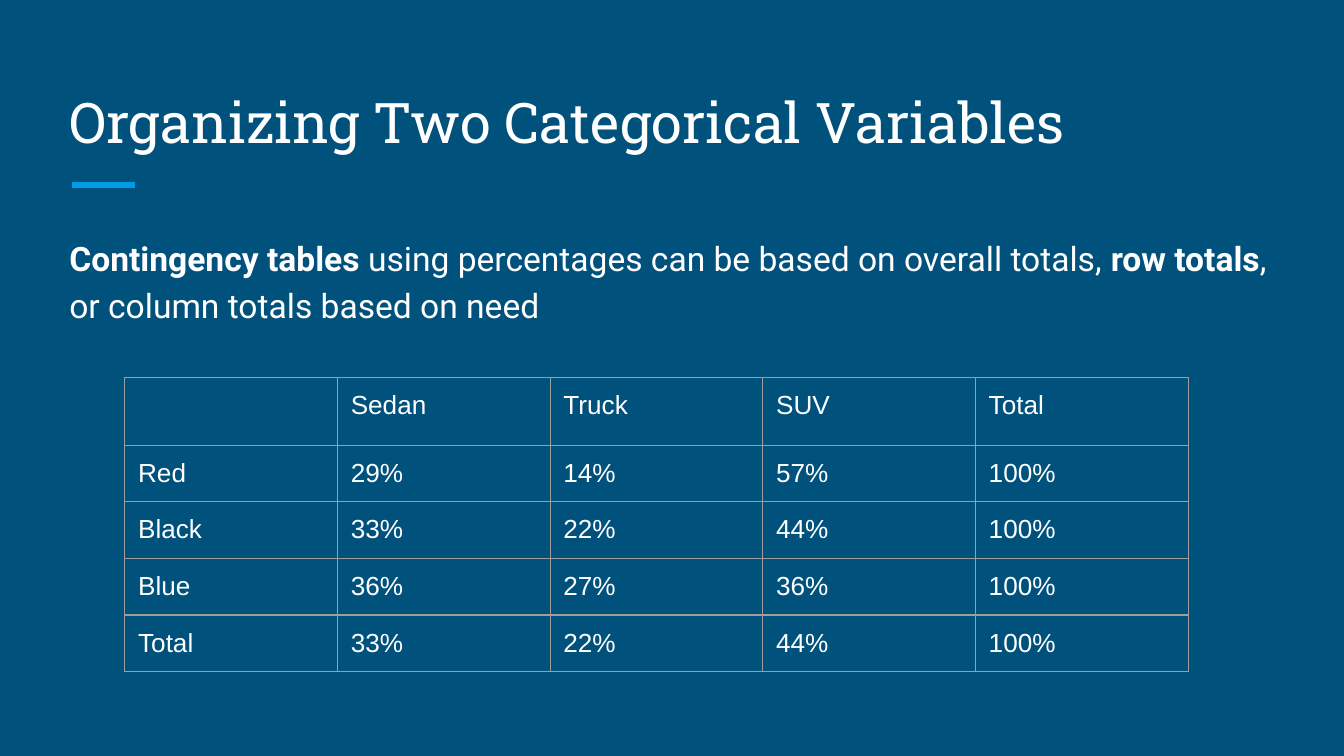
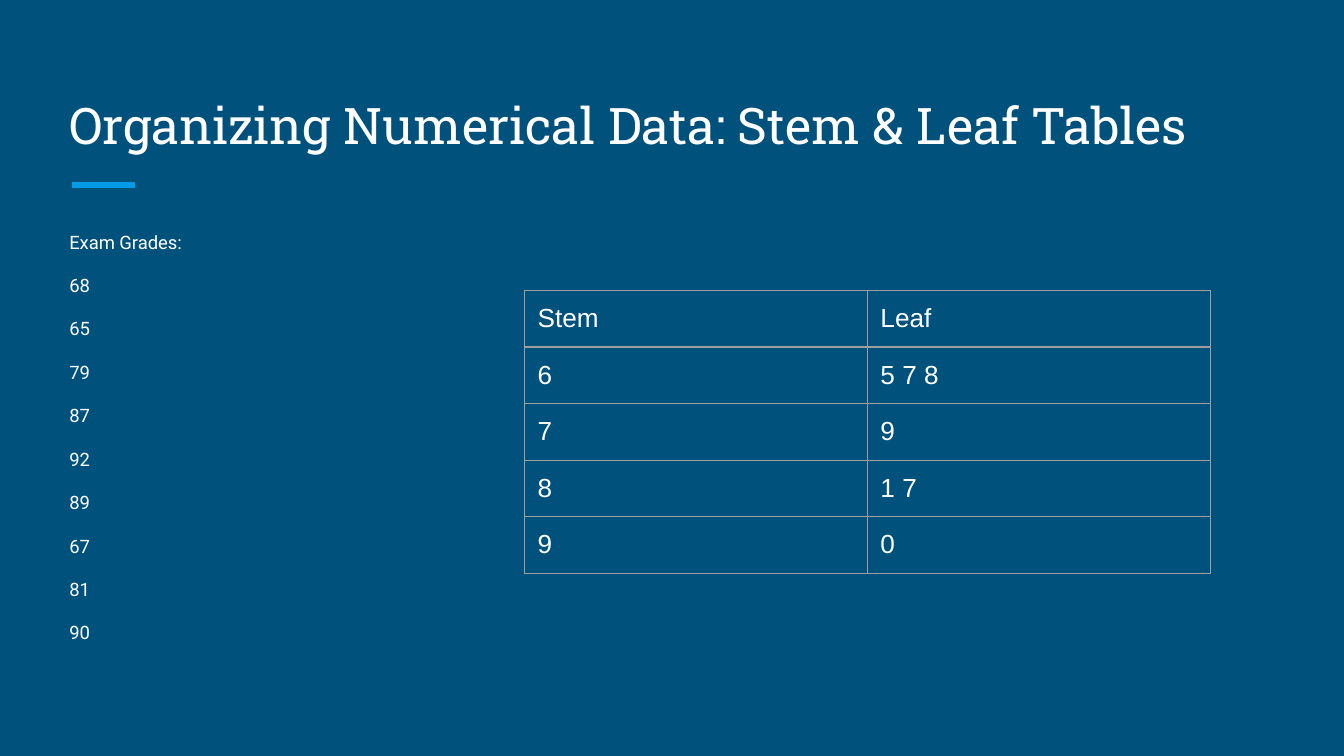
from lxml import etree
from pptx import Presentation
from pptx import util as u
from pptx.dml.color import RGBColor
from pptx.enum import shapes, text
from pptx.oxml import ns

# Shared style
NAVY = RGBColor(0x00, 0x51, 0x7C)
ACCENT = RGBColor(0x03, 0x9B, 0xE5)
WHITE = RGBColor(0xFF, 0xFF, 0xFF)
GRID = RGBColor(0x9E, 0x9E, 0x9E)
TITLE_FONT, BODY_FONT, TABLE_FONT = "Roboto Slab", "Roboto", "Arial"
MARGIN = u.Cm(0.25)
LEFT, FULL_WIDTH = u.Cm(1.06), u.Cm(23.24)
ROW_HEIGHT = u.Cm(1.07)

# Content
VEHICLES = [
    ["", "Sedan", "Truck", "SUV", "Total"],
    ["Red", "29%", "14%", "57%", "100%"],
    ["Black", "33%", "22%", "44%", "100%"],
    ["Blue", "36%", "27%", "36%", "100%"],
    ["Total", "33%", "22%", "44%", "100%"],
]
STEM_LEAF = [["Stem", "Leaf"], ["6", "5 7 8"], ["7", "9"], ["8", "1 7"], ["9", "0"]]
GRADES = [68, 65, 79, 87, 92, 89, 67, 81, 90]


def style_runs(paragraph, font_name, size):
    for run in paragraph.runs:
        run.font.name = font_name
        run.font.size = u.Pt(size)
        run.font.color.rgb = WHITE


def place(shape, top, width, height, anchor):
    """Move a placeholder and set up its text frame."""
    shape.left, shape.top, shape.width, shape.height = LEFT, top, width, height
    frame = shape.text_frame
    frame.margin_left = frame.margin_right = MARGIN
    frame.margin_top = frame.margin_bottom = MARGIN
    frame.vertical_anchor = anchor
    frame.word_wrap = True
    frame.auto_size = text.MSO_AUTO_SIZE.NONE
    return frame


def add_titled_slide(presentation, title, size):
    slide = presentation.slides.add_slide(presentation.slide_layouts[1])
    frame = place(slide.shapes.title, u.Cm(1.27), FULL_WIDTH, u.Cm(1.91),
                  text.MSO_ANCHOR.BOTTOM)
    frame.text = title
    frame.paragraphs[0].alignment = text.PP_ALIGN.LEFT
    style_runs(frame.paragraphs[0], TITLE_FONT, size)

    # Accent rule under the title
    rule = slide.shapes.add_connector(shapes.MSO_CONNECTOR.STRAIGHT,
                                      u.Cm(1.36), u.Cm(3.5), u.Cm(2.55), u.Cm(3.5))
    rule.line.color.rgb = ACCENT
    rule.line.width = u.Pt(3)
    etree.SubElement(rule.element.spPr, ns.qn("a:effectLst"))
    return slide


def fill_body(slide, paragraphs, width, size, line_spacing, gap=0):
    """Write paragraphs, each a list of (text, bold) pieces, without bullets."""
    frame = place(slide.placeholders[1], u.Cm(4.14), width, u.Cm(8.56),
                  text.MSO_ANCHOR.TOP)
    for index, pieces in enumerate(paragraphs):
        paragraph = frame.add_paragraph() if index else frame.paragraphs[0]
        for words, bold in pieces:
            run = paragraph.add_run()
            run.text = words
            run.font.bold = bold
        style_runs(paragraph, BODY_FONT, size)
        paragraph.line_spacing = line_spacing
        paragraph.space_before = u.Pt(gap if index else 0)
        properties = paragraph._p.get_or_add_pPr()
        properties.set("marL", "0")
        properties.set("indent", "0")
        etree.SubElement(properties, ns.qn("a:buNone"))
    paragraph.space_after = u.Pt(gap)


def outline_cell(cell):
    cell.fill.background()
    properties = cell._tc.get_or_add_tcPr()
    for position, side in enumerate(("lnL", "lnR", "lnT", "lnB")):
        line = etree.Element(ns.qn(f"a:{side}"), w=str(u.Pt(0.75)))
        fill = etree.SubElement(line, ns.qn("a:solidFill"))
        etree.SubElement(fill, ns.qn("a:srgbClr"), val=str(GRID))
        properties.insert(position, line)


def add_grid(slide, rows, left, top, column_width, header_height=ROW_HEIGHT):
    column_count = len(rows[0])
    height = header_height + ROW_HEIGHT * (len(rows) - 1)
    table = slide.shapes.add_table(len(rows), column_count, left, top,
                                   column_width * column_count, height).table
    table.first_row = table.horz_banding = False
    for column in table.columns:
        column.width = column_width
    for row_index, values in enumerate(rows):
        table.rows[row_index].height = ROW_HEIGHT if row_index else header_height
        for column_index, value in enumerate(values):
            cell = table.cell(row_index, column_index)
            cell.margin_left = cell.margin_right = MARGIN
            cell.margin_top = cell.margin_bottom = MARGIN
            if value:
                cell.text = value
                style_runs(cell.text_frame.paragraphs[0], TABLE_FONT, 14)
            outline_cell(cell)


def main():
    presentation = Presentation()
    presentation.slide_width, presentation.slide_height = u.Cm(25.4), u.Cm(14.29)
    background = presentation.slide_master.background.fill
    background.solid()
    background.fore_color.rgb = NAVY

    # Slide 1: contingency table
    slide = add_titled_slide(presentation, "Organizing Two Categorical Variables", 30)
    sentence = [
        ("Contingency tables ", True),
        ("using percentages can be based on overall totals, ", False),
        ("row totals", True),
        (", or column totals based on need", False),
    ]
    fill_body(slide, [sentence], FULL_WIDTH, 18, 1.15)
    add_grid(slide, VEHICLES, u.Cm(2.36), u.Cm(7.14), u.Cm(4.02), u.Cm(1.22))

    # Slide 2: stem and leaf table
    slide = add_titled_slide(
        presentation, "Organizing Numerical Data: Stem & Leaf Tables", 27)
    lines = ["Exam Grades:"] + [str(grade) for grade in GRADES]
    fill_body(slide, [[(line, False)] for line in lines], u.Cm(7.67), 9.9, 0.95, gap=12)
    add_grid(slide, STEM_LEAF, u.Cm(9.91), u.Cm(5.49), u.Cm(6.48))

    presentation.save("out.pptx")


if __name__ == "__main__":
    main()
